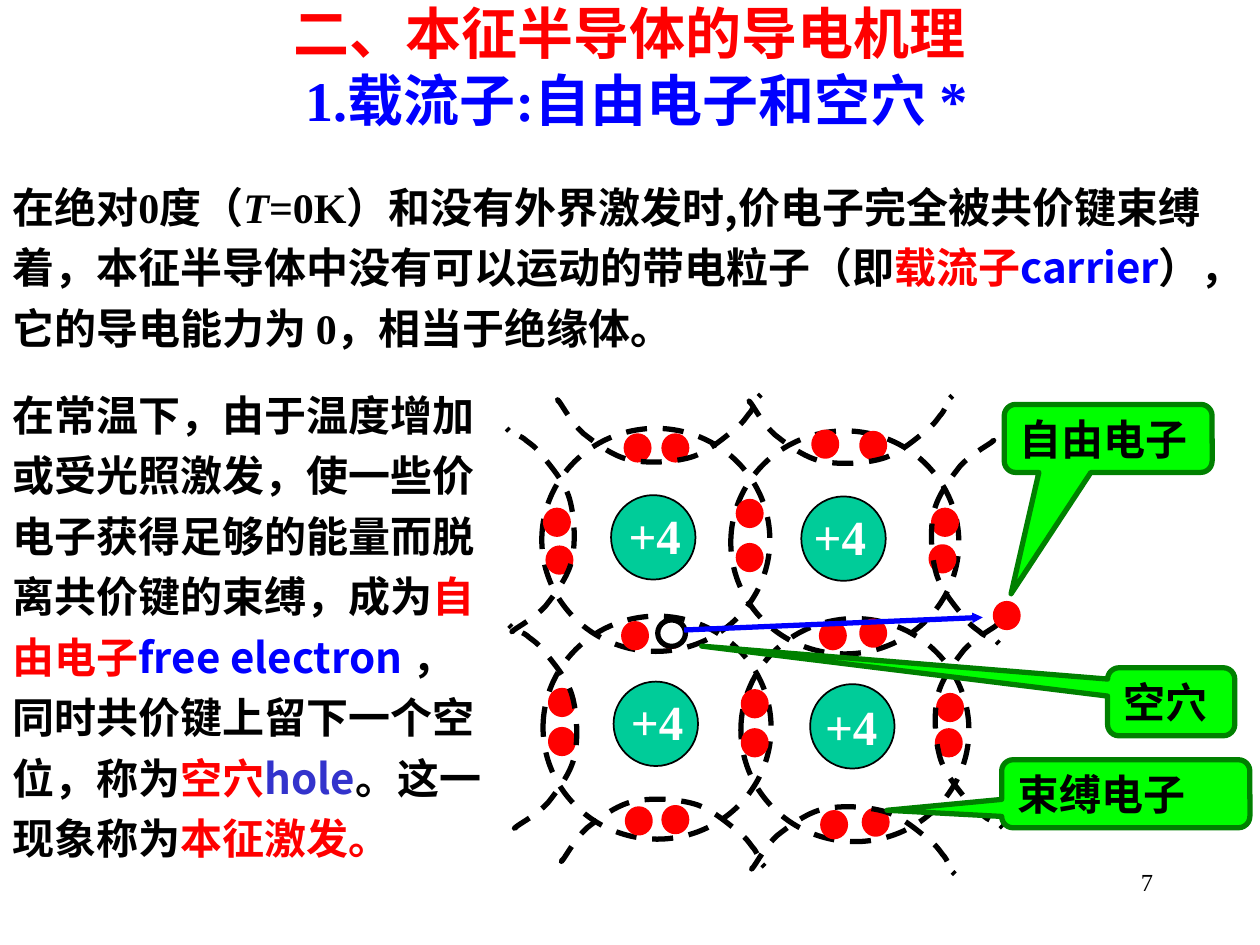
import pptx
import pptx.dml.color
import pptx.enum.dml
import pptx.enum.shapes
import pptx.enum.text
import pptx.oxml
import pptx.oxml.ns
import pptx.util

Inches = pptx.util.Inches
RGBColor = pptx.dml.color.RGBColor
PRESET = pptx.enum.shapes.MSO_SHAPE
ALIGN = pptx.enum.text.PP_ALIGN
ANCHOR = pptx.enum.text.MSO_ANCHOR
qn = pptx.oxml.ns.qn
NAMES = pptx.oxml.ns.nsdecls("a")

BLACK = RGBColor(0x00, 0x00, 0x00)
WHITE = RGBColor(0xFF, 0xFF, 0xFF)
RED = RGBColor(0xFF, 0x00, 0x00)
BLUE = RGBColor(0x00, 0x00, 0xFF)
INDIGO = RGBColor(0x33, 0x33, 0xCC)
TEAL = RGBColor(0x00, 0xCC, 0x99)
LIME = RGBColor(0x00, 0xFF, 0x00)
GREEN = RGBColor(0x00, 0x80, 0x00)
SANS = "Noto Sans CJK SC"
SERIF = "Times New Roman"

# Outer bond around its own centre: start, then three points for each Bezier segment
BOND = [
    (0.21, -0.79),
    (0.21, -0.80), (0.25, -0.82), (0.21, -0.79),
    (0.17, -0.76), (0.04, -0.69), (-0.04, -0.60),
    (-0.11, -0.51), (-0.22, -0.37), (-0.25, -0.23),
    (-0.28, -0.09), (-0.27, 0.11), (-0.23, 0.25),
    (-0.19, 0.39), (-0.07, 0.52), (-0.01, 0.60),
    (0.05, 0.67), (0.07, 0.68), (0.11, 0.71),
    (0.15, 0.75), (0.22, 0.77), (0.25, 0.79),
    (0.27, 0.81), (0.27, 0.81), (0.27, 0.81),
    (0.27, 0.81), (0.25, 0.79), (0.25, 0.79),
]
# Outer bonds: centre in the lattice, and how the curve turns on that side
OUTER_BONDS = [
    (((3.66, 1.30), (3.69, 2.76)), lambda x, y: (x, y)),      # right
    (((1.23, 0.40), (2.75, 0.41)), lambda x, y: (y, -x)),     # top
    (((1.26, 3.61), (2.77, 3.67)), lambda x, y: (y, x)),      # bottom
    (((0.29, 1.21), (0.31, 2.77)), lambda x, y: (-x, -y)),    # left
]
# Atoms: corner of nucleus, of dashed shell and of charge label
ATOMS = [
    ((0.85, 0.93), (0.30, 0.40), (0.89, 0.96)),
    ((2.36, 0.94), (1.80, 0.42), (2.36, 0.97)),
    ((0.87, 2.41), (0.31, 1.89), (0.91, 2.44)),
    ((2.43, 2.43), (1.88, 1.91), (2.45, 2.48)),
]
# Bound electrons, row by row and then column by column
ELECTRONS = [
    (0.97, 0.46), (1.27, 0.46), (2.46, 0.43), (2.84, 0.44),
    (0.95, 1.95), (1.24, 1.94), (2.52, 1.95), (2.84, 1.93),
    (0.98, 3.42), (1.27, 3.41), (2.53, 3.45), (2.86, 3.43),
    (0.33, 1.05), (0.35, 1.35), (0.37, 2.48), (0.37, 2.79),
    (1.86, 0.98), (1.86, 1.33), (1.90, 2.49), (1.90, 2.80),
    (3.41, 1.05), (3.39, 1.34), (3.45, 2.52), (3.44, 2.80),
]


def write(shape, runs, size=24, color=BLACK, font=SANS, bold=True, align=ALIGN.LEFT,
          anchor=ANCHOR.MIDDLE, spacing=None, wrap=True):
    """Write runs of (text, overrides) as one paragraph."""
    frame = shape.text_frame
    frame.word_wrap = wrap
    frame.vertical_anchor = anchor
    paragraph = frame.paragraphs[0]
    paragraph.alignment = align
    if spacing:
        paragraph.line_spacing = spacing
    for text, change in runs:
        for number, line in enumerate(text.split("\n")):
            if number:
                paragraph.add_line_break()
            run = paragraph.add_run()
            run.text = line
            run.font.size = pptx.util.Pt(size)
            run.font.bold = bold
            run.font.italic = change.get("italic", False)
            run.font.color.rgb = change.get("color", color)
            run.font.name = change.get("font", font)
            east_asian = pptx.oxml.parse_xml(f'<a:ea {NAMES} typeface="{SANS}"/>')
            run.font._element.find(qn("a:latin")).addnext(east_asian)


def text_box(shapes, left, top, width, height, runs, **style):
    box = shapes.add_textbox(Inches(left), Inches(top), Inches(width), Inches(height))
    write(box, runs, **style)


def paint(shape, fill, line, weight=3, dashed=False):
    shape.shadow.inherit = False
    if fill is None:
        shape.fill.background()
    else:
        shape.fill.solid()
        shape.fill.fore_color.rgb = fill
    shape.line.color.rgb = line
    shape.line.width = pptx.util.Pt(weight)
    if dashed:
        shape.line.dash_style = pptx.enum.dml.MSO_LINE.DASH


def ellipse(shapes, left, top, width, height, fill, line, **outline):
    shape = shapes.add_shape(PRESET.OVAL, Inches(left), Inches(top),
                             Inches(width), Inches(height))
    paint(shape, fill, line, **outline)


def electron(shapes, left, top):
    ellipse(shapes, left, top, 0.18, 0.19, RED, RED)


def outer_bond(shapes, center_x, center_y, turn):
    points = [(Inches(center_x + x), Inches(center_y + y))
              for x, y in (turn(*point) for point in BOND)]
    builder = shapes.build_freeform(*points[0], scale=1.0)
    builder.add_line_segments(points[1:], close=False)
    bond = builder.convert_to_shape()
    paint(bond, None, BLACK, dashed=True)
    # Join each three straight segments into one Bezier segment
    outline = next(bond._element.iter(qn("a:path")))
    segments = outline.findall(qn("a:lnTo"))
    for first in range(0, len(segments), 3):
        curve = pptx.oxml.parse_xml(f"<a:cubicBezTo {NAMES}/>")
        segments[first].addprevious(curve)
        for segment in segments[first:first + 3]:
            curve.append(segment[0])
            outline.remove(segment)


def lattice(slide, left, top):
    shapes = slide.shapes.add_group_shape().shapes
    for (nucleus_x, nucleus_y), (shell_x, shell_y), _ in ATOMS:
        ellipse(shapes, left + nucleus_x, top + nucleus_y, 0.67, 0.67, TEAL, BLACK, weight=1)
        ellipse(shapes, left + shell_x, top + shell_y, 1.81, 1.77, None, BLACK, dashed=True)
    for x, y in ELECTRONS:
        electron(shapes, left + x, top + y)
    for centers, turn in OUTER_BONDS:
        for x, y in centers:
            outer_bond(shapes, left + x, top + y, turn)
    for _, _, (x, y) in ATOMS:
        text_box(shapes, left + x, top + y, 0.77, 0.57, [("+4", {})], size=28,
                 color=WHITE, font=SERIF, anchor=ANCHOR.TOP)


def excitation(slide, left, top):
    """Hole, freed electron and the arrow between them."""
    shapes = slide.shapes.add_group_shape().shapes
    electron(shapes, left + 2.68, top)
    ellipse(shapes, left, top + 0.13, 0.22, 0.21, WHITE, BLACK)
    escape = shapes.add_connector(
        pptx.enum.shapes.MSO_CONNECTOR.STRAIGHT, Inches(left + 0.21), Inches(top + 0.21),
        Inches(left + 2.58), Inches(top + 0.11))
    escape.line.color.rgb = BLUE
    escape.line.width = pptx.util.Pt(3)
    escape.line._get_or_add_ln().append(
        pptx.oxml.parse_xml(f'<a:tailEnd {NAMES} type="triangle" w="sm" len="sm"/>'))
    escape._element.spPr.append(pptx.oxml.parse_xml(f"<a:effectLst {NAMES}/>"))


def callout(slide, left, top, width, label, tip, wrap=True):
    shape = slide.shapes.add_shape(PRESET.ROUNDED_RECTANGULAR_CALLOUT, Inches(left),
                                   Inches(top), Inches(width), Inches(0.54))
    for index, value in enumerate((*tip, 0.167)):
        shape.adjustments[index] = value
    paint(shape, LIME, GREEN)
    write(shape, [(label, {})], font=SERIF, wrap=wrap)


def heading(slide, left, top, width, height):
    text_box(slide.shapes, left, top, width, height, [
        ("二、本征半导体的导电机理\n ", {"color": RED}),
        ("1.载流子:自由电子和空穴 *", {"color": BLUE, "font": SERIF}),
    ], size=32, align=ALIGN.CENTER)


def absolute_zero(slide, left, top, width, height):
    text_box(slide.shapes, left, top, width, height, [
        ("在绝对", {}), ("0", {"font": SERIF}), ("度", {}), ("（", {"font": SERIF}),
        ("T", {"font": SERIF, "italic": True}), ("=0K）", {"font": SERIF}),
        ("和没有外界激发时,价电子完全被共价键束缚着，本征半导体中没有可以运动的带电粒子（即", {}),
        ("载流子", {"color": RED}), ("carrier", {"color": BLUE}),
        ("），它的导电能力为 ", {}), ("0", {"font": SERIF}), ("，相当于绝缘体。", {}),
    ], spacing=1.2)


def room_temperature(slide, left, top, width, height):
    text_box(slide.shapes, left, top, width, height, [
        ("在常温下，由于温度增加或受光照激发，使一些价电子获得足够的能量而脱离共价键的束缚，成为", {}),
        ("自由电子", {"color": RED}), ("free electron ", {"color": BLUE}),
        ("，同时共价键上留下一个空位，称为", {}), ("空穴", {"color": RED}),
        ("hole", {"color": INDIGO}), ("。", {}), ("这一现象称为", {"font": SERIF}),
        ("本征激发。", {"font": SERIF, "color": RED}),
    ], spacing=1.2)


def main():
    deck = pptx.Presentation()
    deck.slide_width, deck.slide_height = Inches(10), Inches(7.5)
    slide = deck.slides.add_slide(deck.slide_layouts[6])
    # Page number
    text_box(slide.shapes, 7.17, 6.83, 2.08, 0.5, [("7", {})], size=14, font=SERIF,
             bold=False, align=ALIGN.RIGHT, anchor=ANCHOR.TOP)
    # Text
    absolute_zero(slide, 0, 1.31, 9.65, 1.54)
    room_temperature(slide, 0, 2.72, 3.98, 4.42)
    heading(slide, 0, 0, 10, 1.04)
    # Crystal lattice with its labels
    lattice(slide, 4, 3)
    excitation(slide, 5.22, 4.79)
    callout(slide, 7.97, 3.21, 1.65, "自由电子", (-0.467, 2.283), wrap=False)
    callout(slide, 8.79, 5.30, 1.01, "空穴", (-3.69, -0.818))
    callout(slide, 7.95, 6.03, 1.97, "束缚电子", (-0.962, 0.243))
    deck.save("out.pptx")


if __name__ == "__main__":
    main()
